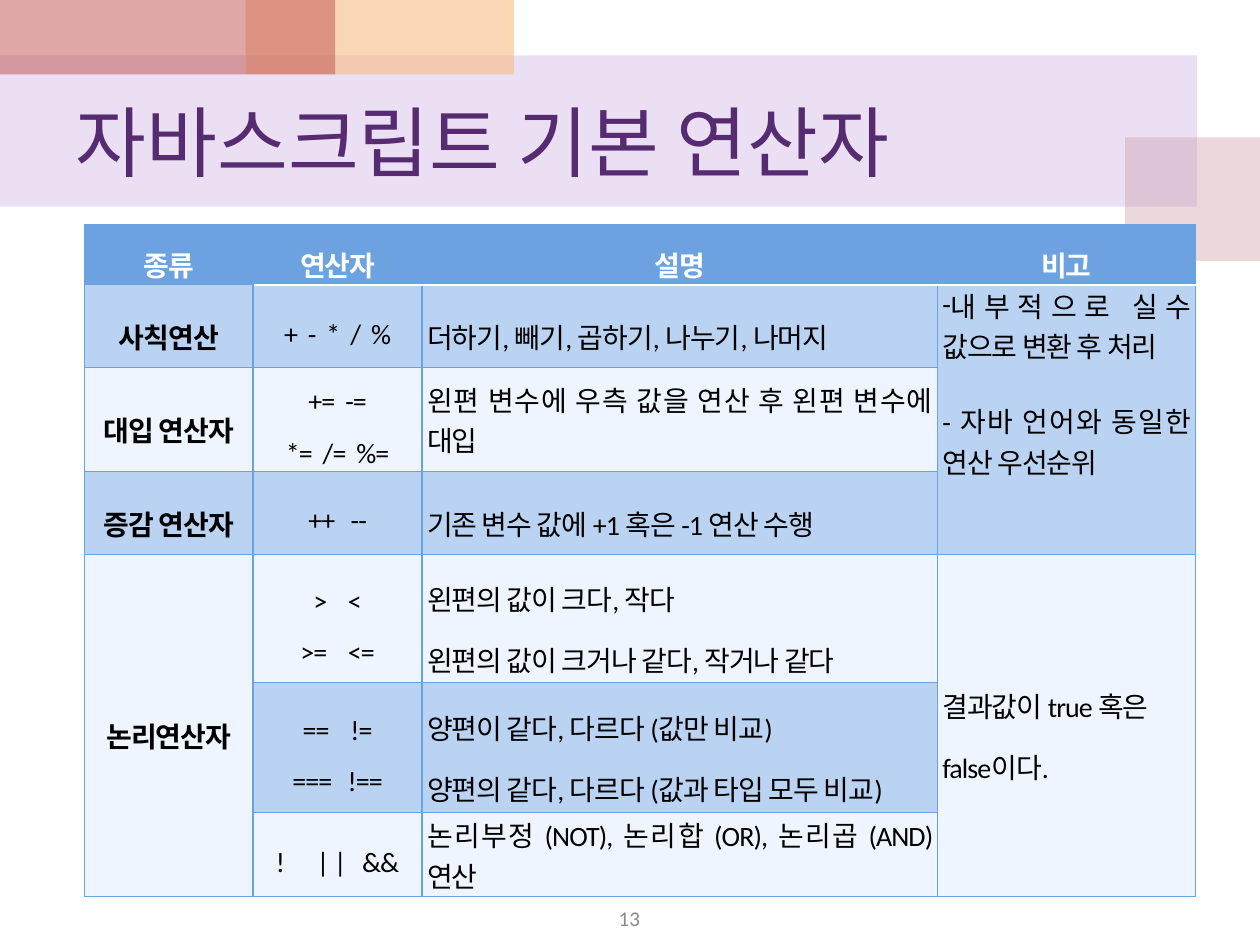
from dataclasses import dataclass

from lxml.etree import SubElement
from pptx import Presentation
from pptx.dml.color import RGBColor
from pptx.enum.shapes import MSO_SHAPE as SHAPE
from pptx.enum.text import MSO_ANCHOR as ANCHOR, MSO_AUTO_SIZE as AUTO, PP_ALIGN as ALIGN
from pptx.oxml import parse_xml
from pptx.oxml.ns import nsdecls, qn
from pptx.util import Inches, Pt


@dataclass(frozen=True)
class Theme:
    font: str = "Calibri"
    title: str = "562B71"
    number: str = "8C8C8C"
    blue: str = "6BA2DF"
    band: str = "BAD3F2"
    pale: str = "EFF5FF"
    white: str = "FFFFFF"
    black: str = "000000"
    title_size: int = 44
    cell_size: int = 16
    number_size: int = 12
    thin: float = 0.75
    thick: float = 1.5


THEME = Theme()

# left, top, width, height, colour, opacity in percent
DECORATION = [
    (0, 0.44, 9.5, 1.2, "BF98D8", 30),
    (8.93, 1.09, 1.07, 0.98, "CC9EAC", 40),
    (1.95, 0, 2.13, 0.59, "F5BC83", 60),
    (0, 0, 2.66, 0.59, "C0504D", 50),
]

COLUMNS = [1.34, 1.34, 4.09, 2.05]
ROWS = [0.48, 0.66, 0.82, 0.66, 1.02, 1.03, 0.67]
BANDED_ROWS = (1, 3, 5)
HEADINGS = ["종류", "연산자", "설명", "비고"]
KINDS = {1: "사칙연산", 2: "대입 연산자", 3: "증감 연산자", 4: "논리연산자"}
OPERATORS = [
    "+  -  *  /  %",
    "+=  -=\n*=  /=  %=",
    "++   --",
    ">    <\n>=    <=",
    "==    !=\n===   !==",
    "!      | |   &&",
]
# description, line spacing
DESCRIPTIONS = [
    ("더하기, 빼기, 곱하기, 나누기, 나머지", 1.5),
    ("왼편 변수에 우측 값을 연산 후 왼편 변수에 대입", 1),
    ("기존 변수 값에 +1 혹은 -1 연산 수행", 1.5),
    ("왼편의 값이 크다, 작다\n왼편의 값이 크거나 같다, 작거나 같다", 1.5),
    ("양편이 같다, 다르다 (값만 비교)\n양편의 같다, 다르다 (값과 타입 모두 비교)", 1.5),
    ("논리부정 (NOT), 논리합 (OR), 논리곱 (AND) 연산", 1),
]
NUMBER_RULE = "내부적으로 실수 값으로 변환 후 처리\n- 자바 언어와 동일한 연산 우선순위"
LOGIC_RULE = "결과값이 true 혹은 false이다."


def style_run(r, size, color, bold=False):
    r.font.name = THEME.font
    r.font.size = Pt(size)
    r.font.bold = bold
    r.font.color.rgb = RGBColor.from_string(color)


def add_decoration(slide, box, color, opacity):
    sp = slide.shapes.add_shape(SHAPE.RECTANGLE, *map(Inches, box))
    sp.shadow.inherit = False
    sp.line.fill.background()
    sp.fill.solid()
    sp.fill.fore_color.rgb = RGBColor.from_string(color)
    clr = sp.fill._xPr.find(qn("a:solidFill"))[0]
    SubElement(clr, qn("a:alpha"), val=str(opacity * 1000))


def place_title(slide, box, text):
    sp = slide.shapes.title
    sp.left, sp.top, sp.width, sp.height = map(Inches, box)
    slide.shapes._spTree.append(sp._element)  # in front of the decoration
    tf = sp.text_frame
    tf.text = text
    tf.auto_size = AUTO.NONE
    tf.vertical_anchor = ANCHOR.MIDDLE
    p = tf.paragraphs[0]
    p.alignment = ALIGN.LEFT
    style_run(p.runs[0], THEME.title_size, THEME.title)


def add_page_number(slide, box, text):
    tf = slide.shapes.add_textbox(*map(Inches, box)).text_frame
    tf.word_wrap = True
    tf.vertical_anchor = ANCHOR.MIDDLE
    tf.text = text
    p = tf.paragraphs[0]
    p.alignment = ALIGN.CENTER
    style_run(p.runs[0], THEME.number_size, THEME.number)


def set_cell(cell, text, align=ALIGN.CENTER, spacing=1.5, color=THEME.black,
             bold=False, anchor=ANCHOR.MIDDLE):
    cell.vertical_anchor = anchor
    cell.text_frame.text = text
    for p in cell.text_frame.paragraphs:
        p.alignment = align
        p.line_spacing = spacing
        for r in p.runs:
            style_run(r, THEME.cell_size, color, bold)
            r.font._element.set("spc", "-50")


def set_borders(cell, row, col):
    blue = (THEME.blue, THEME.thin)
    white = (THEME.white, THEME.thick)
    side = (THEME.blue, THEME.thick)
    lines = {
        "lnL": side if row and col == 1 else blue,
        "lnR": side if row and col == 0 else blue,
        "lnT": white if row == 1 and col else blue,
        "lnB": white if row == 0 and col else blue,
    }
    tc_pr = cell._tc.get_or_add_tcPr()
    for i, (tag, (color, width)) in enumerate(lines.items()):
        tc_pr.insert(i, parse_xml(
            f'<a:{tag} {nsdecls("a")} w="{Pt(width)}"><a:solidFill>'
            f'<a:srgbClr val="{color}"/></a:solidFill></a:{tag}>'))


def add_operator_table(slide, box):
    table = slide.shapes.add_table(len(ROWS), len(COLUMNS), *map(Inches, box)).table
    for column, width in zip(table.columns, COLUMNS):
        column.width = Inches(width)
    for row, height in zip(table.rows, ROWS):
        row.height = Inches(height)

    # Fills, margins and borders
    for i in range(len(ROWS)):
        for j in range(len(COLUMNS)):
            cell = table.cell(i, j)
            cell.margin_left = cell.margin_right = Inches(0.04)
            cell.margin_top = cell.margin_bottom = 0
            banded = i in BANDED_ROWS if j in (1, 2) else i < 4 and (j == 3 or i != 2)
            fill = THEME.blue if i == 0 else THEME.band if banded else THEME.pale
            cell.fill.solid()
            cell.fill.fore_color.rgb = RGBColor.from_string(fill)
            set_borders(cell, i, j)

    # Cells that span three rows
    for first, col in ((1, 3), (4, 0), (4, 3)):
        table.cell(first, col).merge(table.cell(first + 2, col))

    # Text
    for j, heading in enumerate(HEADINGS):
        set_cell(table.cell(0, j), heading, color=THEME.white, bold=True)
    for i, kind in KINDS.items():
        set_cell(table.cell(i, 0), kind, bold=True)
    for i, (operators, (text, spacing)) in enumerate(zip(OPERATORS, DESCRIPTIONS), 1):
        set_cell(table.cell(i, 1), operators)
        set_cell(table.cell(i, 2), text, ALIGN.JUSTIFY, spacing)
    set_cell(table.cell(4, 3), LOGIC_RULE, ALIGN.LEFT)

    # Remark with a dash bullet and a gap before its second paragraph
    remark = table.cell(1, 3)
    set_cell(remark, NUMBER_RULE, ALIGN.JUSTIFY, 1, anchor=ANCHOR.TOP)
    first, second = remark.text_frame.paragraphs
    p_pr = first._p.get_or_add_pPr()
    SubElement(p_pr, qn("a:buFont"), typeface=THEME.font)
    SubElement(p_pr, qn("a:buChar"), char="-")
    second.space_before = Pt(20)


def main():
    prs = Presentation()
    prs.slide_width, prs.slide_height = Inches(10), Inches(7.5)
    slide = prs.slides.add_slide(prs.slide_layouts[5])
    for *box, color, opacity in DECORATION:
        add_decoration(slide, box, color, opacity)
    place_title(slide, (0.5, 0.59, 9, 1.05), "자바스크립트 기본 연산자")
    add_page_number(slide, (3.83, 7.15, 2.33, 0.27), "13")
    add_operator_table(slide, (0.67, 1.78, sum(COLUMNS), sum(ROWS)))
    prs.save("out.pptx")


if __name__ == "__main__":
    main()
